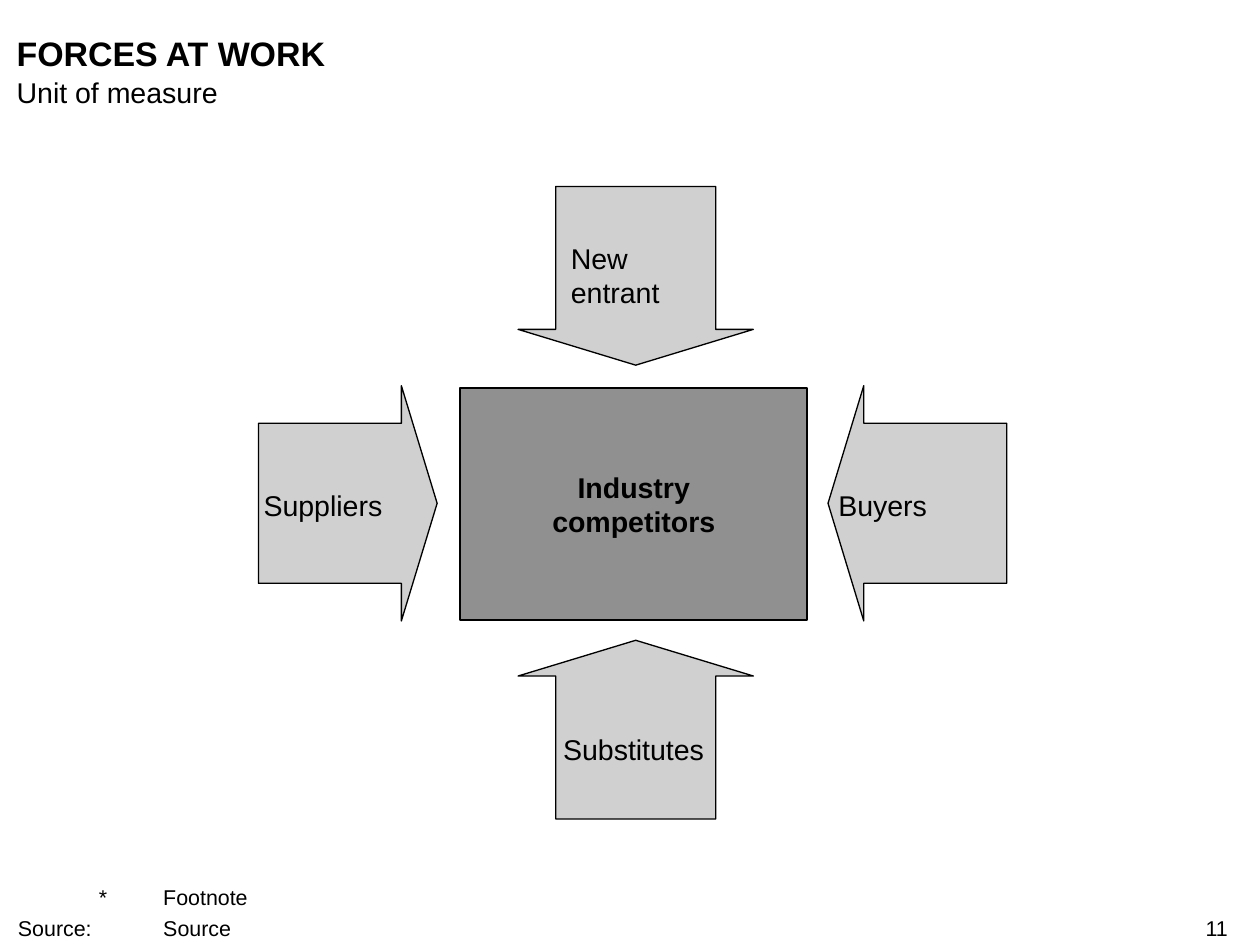
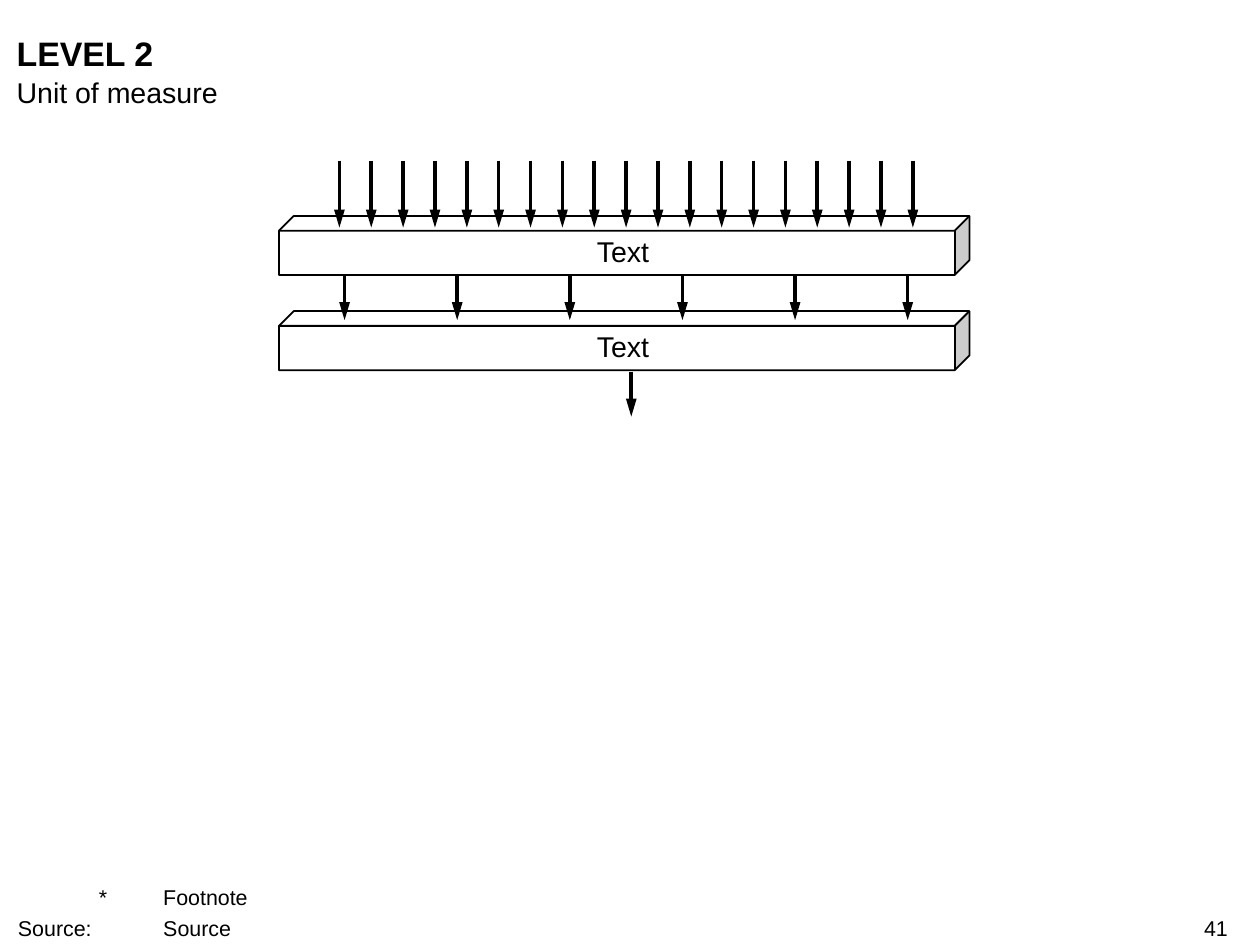
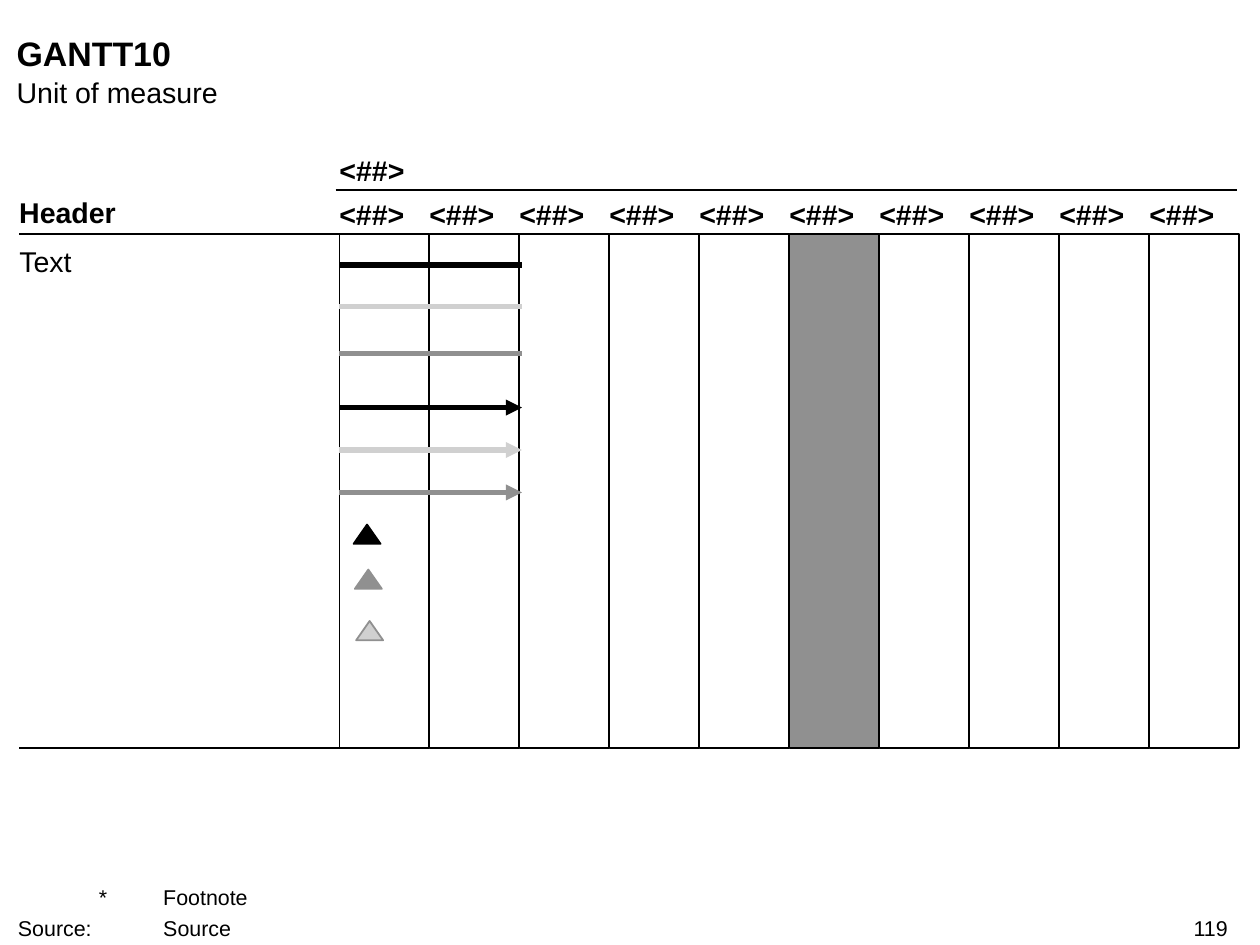
from dataclasses import dataclass

from pptx import Presentation
from pptx import util as u
from pptx.dml.color import RGBColor
from pptx.enum import shapes, text
from pptx.oxml import ns, xmlchemy

SHAPE = shapes.MSO_SHAPE
ALIGN = text.PP_ALIGN
ANCHOR = text.MSO_ANCHOR


@dataclass(frozen=True)
class Theme:
    font: str = "Arial"
    black: str = "000000"
    white: str = "FFFFFF"
    light: str = "D0D0D0"
    dark: str = "909090"
    title_size: float = 19
    body_size: float = 16
    note_size: float = 12


THEME = Theme()
COLUMNS, ROWS = 98, 73.5          # square grid cells
CELL = u.Inches(0.1)
LABEL_HEIGHT = 2.7
NOTE_INDENT = u.Inches(0.63)
NOTE_TABS = ((0, "l"), (0.58, "r"), (0.98, "l"), (1.96, "l"))


def cells(*counts):
    """Turn grid counts into lengths."""
    return [u.Emu(round(count * CELL)) for count in counts]


def spread(first, last, count):
    """Evenly spaced positions from first to last."""
    return [first + (last - first) * i / (count - 1) for i in range(count)]


class Deck:
    def __init__(self, theme):
        self.theme = theme
        self.presentation = Presentation()
        self.presentation.slide_width, self.presentation.slide_height = cells(COLUMNS, ROWS)
        self.slide = None

    def new_slide(self, title, number):
        """Start a slide with the shared title, subtitle and footer."""
        theme = self.theme
        self.slide = self.presentation.slides.add_slide(self.presentation.slide_layouts[6])
        self.label(title, 1.3, 2.5, 94.3, 3.2, size=theme.title_size, bold=True)
        self.label("Unit of measure", 1.3, 5.8, 94.3)
        self.footnotes("\t*\tFootnote", "Source:\t\tSource")
        self.label(str(number), 75.1, 71.2, 20.4, 2, size=theme.note_size, align=ALIGN.RIGHT)

    def style_paragraph(self, paragraph, size, bold=False, align=None):
        paragraph.alignment = align
        for run in paragraph.runs:
            run.font.name = self.theme.font
            run.font.size = u.Pt(size)
            run.font.bold = bold
            run.font.color.rgb = RGBColor.from_string(self.theme.black)

    def text_box(self, left, top, width, height, anchor):
        frame = self.slide.shapes.add_textbox(*cells(left, top, width, height)).text_frame
        frame.margin_left = frame.margin_right = frame.margin_top = frame.margin_bottom = 0
        frame.word_wrap = True
        frame.vertical_anchor = anchor
        return frame

    def label(self, words, left, top, width, height=LABEL_HEIGHT, size=None,
              bold=False, align=None, anchor=ANCHOR.TOP):
        frame = self.text_box(left, top, width, height, anchor)
        frame.text = words
        self.style_paragraph(frame.paragraphs[0], size or self.theme.body_size, bold, align)

    def footnotes(self, *notes):
        """Hanging notes set on shared tab stops."""
        frame = self.text_box(1.4, 68.8, 89.3, 4.4, ANCHOR.BOTTOM)
        frame.text = "\n".join(notes)
        for index, paragraph in enumerate(frame.paragraphs):
            properties = paragraph._p.get_or_add_pPr()
            properties.set("marL", str(NOTE_INDENT))
            properties.set("indent", str(-NOTE_INDENT))
            stops = xmlchemy.OxmlElement("a:tabLst")
            for position, side in NOTE_TABS:
                stop = xmlchemy.OxmlElement("a:tab")
                stop.set("pos", str(u.Inches(position)))
                stop.set("algn", side)
                stops.append(stop)
            properties.append(stops)
            if index:
                paragraph.space_before = u.Pt(3)
            self.style_paragraph(paragraph, self.theme.note_size)

    def shape(self, kind, left, top, width, height, fill, line=None, weight=1, adjust=()):
        shape = self.slide.shapes.add_shape(kind, *cells(left, top, width, height))
        shape.shadow.inherit = False
        shape.fill.solid()
        shape.fill.fore_color.rgb = RGBColor.from_string(fill)
        shape.line.color.rgb = RGBColor.from_string(line or self.theme.black)
        shape.line.width = u.Pt(weight)
        for index, value in enumerate(adjust):
            shape.adjustments[index] = value
        return shape

    def box(self, words, *place, fill):
        """Rectangle with centred bold text."""
        frame = self.shape(SHAPE.RECTANGLE, *place, fill).text_frame
        frame.vertical_anchor = ANCHOR.MIDDLE
        frame.paragraphs[0].text = words
        self.style_paragraph(frame.paragraphs[0], self.theme.body_size, True, ALIGN.CENTER)

    def line(self, x1, y1, x2, y2, color=None, weight=1, head=None):
        """Straight line; head is the length of its arrowhead, if any."""
        connector = self.slide.shapes.add_connector(
            shapes.MSO_CONNECTOR.STRAIGHT, *cells(x1, y1, x2, y2))
        connector.line.color.rgb = RGBColor.from_string(color or self.theme.black)
        connector.line.width = u.Pt(weight)
        properties = connector._element.spPr
        if head:
            arrowhead = xmlchemy.OxmlElement("a:tailEnd")
            arrowhead.set("type", "triangle")
            arrowhead.set("w", "med")
            arrowhead.set("len", head)
            properties.find(ns.qn("a:ln")).append(arrowhead)
        properties.append(xmlchemy.OxmlElement("a:effectLst"))

    def down_arrows(self, positions, top, bottom):
        for x in positions:
            self.line(x, top, x, bottom, weight=2, head="lg")


def forces_slide(deck):
    deck.new_slide("FORCES AT WORK", 11)
    length, breadth = 13.9, 18.3

    # Arrows pointing at the centre
    for kind, left, top, width, height in (
        (SHAPE.LEFT_ARROW, 64.4, 30, length, breadth),
        (SHAPE.RIGHT_ARROW, 20.1, 30, length, breadth),
        (SHAPE.DOWN_ARROW, 40.3, 14.5, breadth, length),
        (SHAPE.UP_ARROW, 40.3, 49.8, breadth, length),
    ):
        deck.shape(kind, left, top, width, height, THEME.light, weight=0.75,
                   adjust=(0.68, 0.2))
    deck.box("Industry\ncompetitors", 35.8, 30.2, 27, 18, fill=THEME.dark)

    # Arrow labels
    for words, left, top, width, height in (
        ("New entrant", 44.4, 18.7, 9.7, 2 * LABEL_HEIGHT),
        ("Suppliers", 20.5, 37.9, 10.9, LABEL_HEIGHT),
        ("Buyers", 65.2, 37.9, 10.9, LABEL_HEIGHT),
        ("Substitutes", 43.8, 56.9, 11.8, LABEL_HEIGHT),
    ):
        deck.label(words, left, top, width, height, anchor=ANCHOR.MIDDLE)


def level_slide(deck):
    deck.new_slide("LEVEL 2", 41)

    # Two slabs, the lower one drawn first
    for top in (24.2, 16.8):
        deck.shape(SHAPE.CUBE, 21.7, top, 53.7, 4.6, THEME.white, adjust=(0.25,))
        deck.label("Text", 22.9, top + 1.4, 51.1, align=ALIGN.CENTER, anchor=ANCHOR.MIDDLE)

    # Many arrows in, fewer through, one out
    deck.down_arrows(spread(26.4, 71, 19), 12.5, 17.7)
    deck.down_arrows(spread(26.8, 70.6, 6), 21.5, 24.9)
    deck.down_arrows([49.1], 28.9, 32.4)


def gantt_slide(deck):
    deck.new_slide("GANTT10", 119)
    left, top, step, height, count, marked = 26.4, 18.2, 7, 40, 10, 5
    bottom = top + height

    # Periods
    for index in range(count):
        x = left + index * step
        deck.shape(SHAPE.RECTANGLE, x, top, step, height,
                   THEME.dark if index == marked else THEME.white)
        deck.label("<##>", x, 15.3, 6.3, bold=True)
    deck.label("<##>", left, 11.9, 69.5, bold=True)
    deck.line(26.1, 14.8, 96.2, 14.8)

    # Row heading
    deck.label("Header", 1.5, 15.2, 23.6, bold=True)
    deck.label("Text", 1.5, 19, 24.9)
    for y in (top, bottom):
        deck.line(1.5, y, 26.6, y)

    # Bars and arrows
    for y, color, head in (
        (20.6, THEME.black, None),
        (23.85, THEME.light, None),
        (27.5, THEME.dark, None),
        (31.7, THEME.black, "med"),
        (35, THEME.light, "med"),
        (38.3, THEME.dark, "med"),
    ):
        deck.line(left, y, 40.6, y, color, weight=3, head=head)

    # Milestones
    for x, y, fill, line in (
        (27.5, 40.8, THEME.black, THEME.black),
        (27.6, 44.3, THEME.dark, THEME.dark),
        (27.7, 48.3, THEME.light, THEME.dark),
    ):
        deck.shape(SHAPE.ISOSCELES_TRIANGLE, x, y, 2.1, 1.5, fill, line)


def main():
    deck = Deck(THEME)
    forces_slide(deck)
    level_slide(deck)
    gantt_slide(deck)
    deck.presentation.save("out.pptx")


if __name__ == "__main__":
    main()
